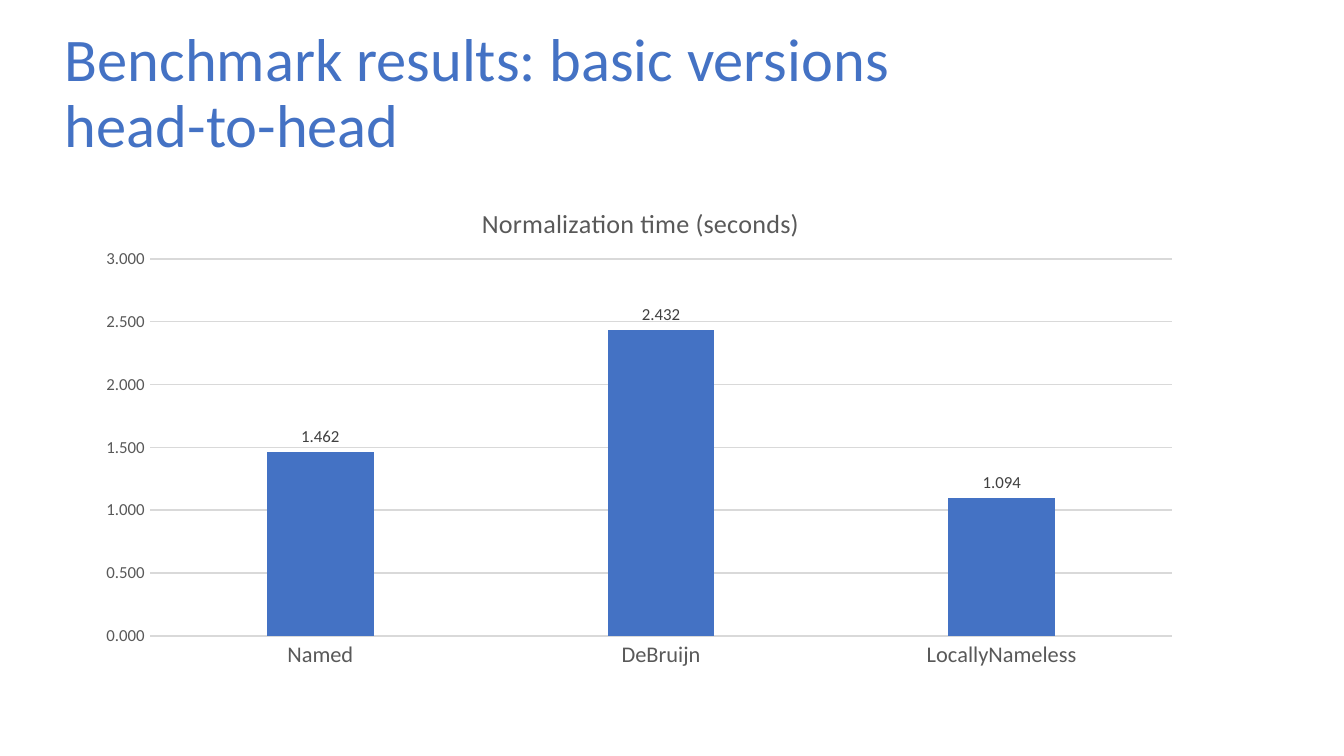
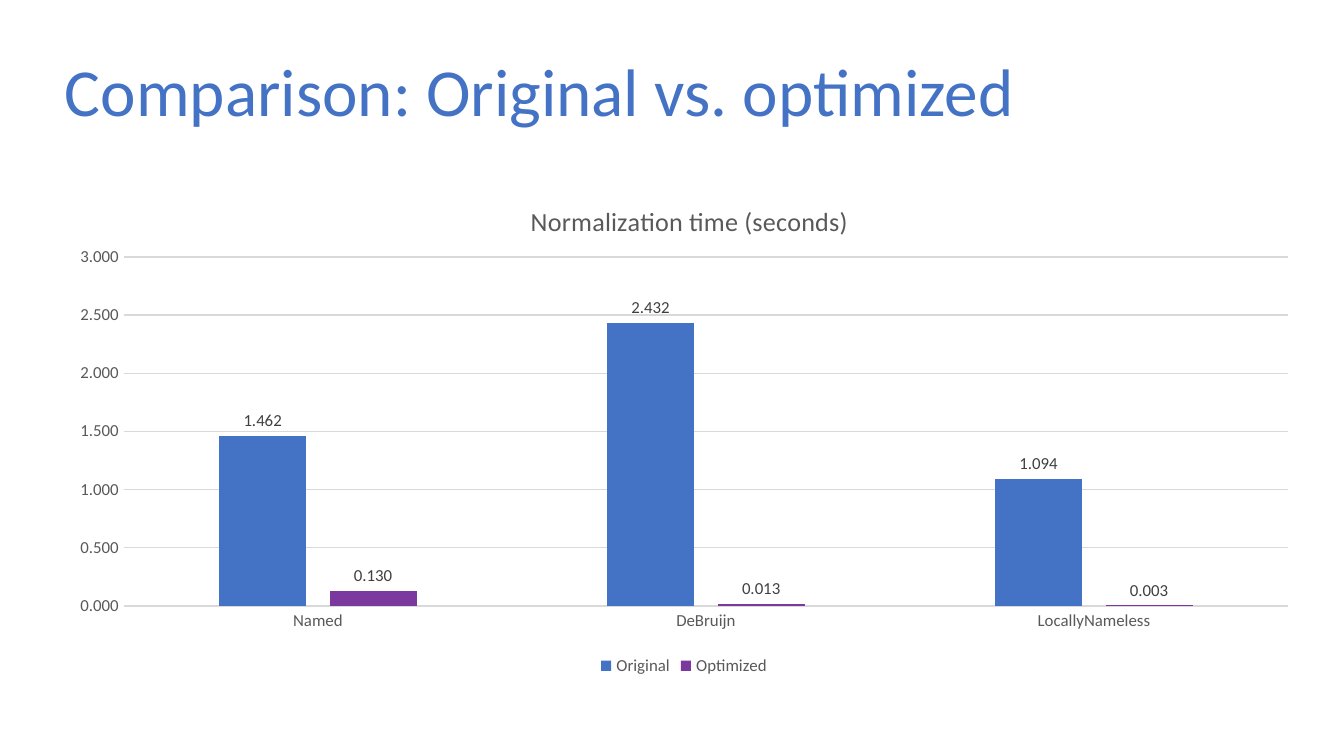
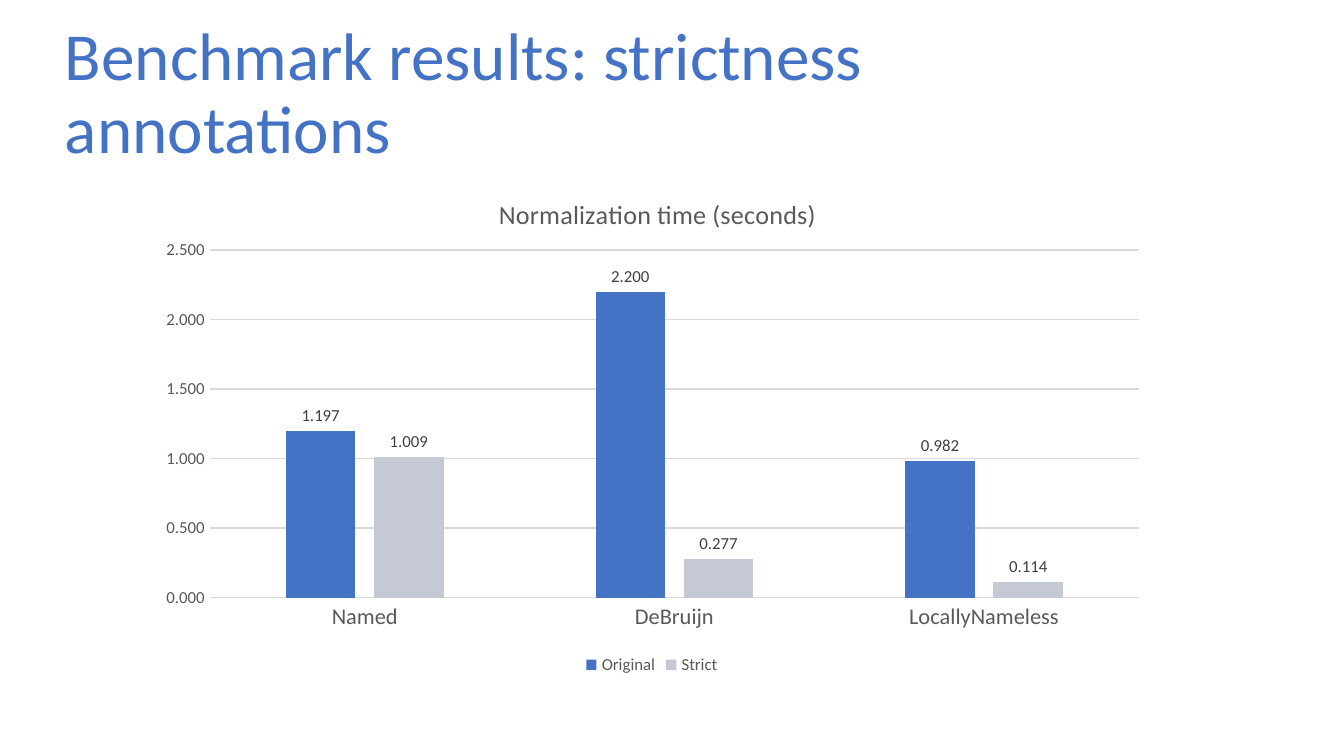
import copy
from lxml import etree
from pptx import Presentation
from pptx import util as u
from pptx.chart.data import CategoryChartData
from pptx.dml.color import RGBColor
from pptx.enum import chart as ch, text as tx
from pptx.oxml.ns import qn

PX = u.Inches(10) / 1344
FACE = "Calibri"
BLUE, PURPLE, SILVER = "4472C4", "7B389E", "C4C9D4"
GRID, GREY, DARK = "D9D9D9", "595959", "404040"
NAMES = ["Named", "DeBruijn", "LocallyNameless"]
BASE = (1.462, 2.432, 1.094)


def style(font, size, color):
    font.name, font.size, font.bold = FACE, u.Pt(size), False
    font.color.rgb = RGBColor.from_string(color)


def write(frame, words, size, color, **form):
    """Fill the first paragraph; a newline in words is a line break."""
    frame.text = ""
    para = frame.paragraphs[0]
    for name, value in form.items():
        setattr(para, name, value)
    for row, line in enumerate(words.split("\n")):
        if row:
            para.add_line_break()
        run = para.add_run()
        run.text = line
        style(run.font, size, color)
    for gap in para._p.findall(qn("a:br")):
        gap.insert(0, copy.deepcopy(run.font._element))


# Title, title size, chart box, plot box, title corner, axis top, category size, series
pages = [
    ("Benchmark results: basic versions \nhead-to-head", 32.4,
     (83, 176, 1110, 501), (150, 259, 1022, 377), (477, 201), 3, 12,
     [("Series 1", BASE, BLUE)]),
    ("Comparison: Original vs. optimized", 36,
     (55, 172, 1258, 509), (124, 257, 1164, 349), (526, 198), 3, 9,
     [("Original", BASE, BLUE), ("Optimized", (0.13, 0.013, 0.003), PURPLE)]),
    ("Benchmark results: strictness annotations", 36,
     (146, 167, 1012, 513), (210, 250, 929, 348), (494, 191), 2.5, 12,
     [("Original", (1.197, 2.2, 0.982), BLUE),
      ("Strict", (1.009, 0.277, 0.114), SILVER)]),
]

prs = Presentation()
prs.slide_width, prs.slide_height = u.Inches(10), round(756 * PX)

for head, size, box, plot, spot, top, label, rows in pages:
    slide = prs.slides.add_slide(prs.slide_layouts[5])
    title = slide.shapes.title
    title.left, title.top, title.width, title.height = [
        round(n * PX) for n in (55, 35, 1159, 120)]
    frame = title.text_frame
    frame.margin_left = frame.margin_right = round(10 * PX)
    frame.margin_top = frame.margin_bottom = round(5 * PX)
    frame.word_wrap = True
    frame.auto_size = tx.MSO_AUTO_SIZE.NONE
    frame.vertical_anchor = tx.MSO_ANCHOR.MIDDLE
    write(frame, head, size, BLUE, alignment=tx.PP_ALIGN.LEFT, line_spacing=0.9)

    data = CategoryChartData(number_format="0.000")
    data.categories = NAMES
    for name, values, _ in rows:
        data.add_series(name, values)
    chart = slide.shapes.add_chart(
        ch.XL_CHART_TYPE.COLUMN_CLUSTERED, *[round(n * PX) for n in box], data).chart
    style(chart.font, 10, "000000")
    chart.has_title = True
    write(chart.chart_title.text_frame, "Normalization time (seconds)", 14, GREY)
    chart.chart_title.include_in_layout = False

    chart.has_legend = len(rows) > 1
    if chart.has_legend:
        chart.legend.position = ch.XL_LEGEND_POSITION.BOTTOM
        chart.legend.include_in_layout = False
        style(chart.legend.font, 9, GREY)

    cat, val = chart.category_axis, chart.value_axis
    for axis, points in (cat, label), (val, 9):
        axis.major_tick_mark = axis.minor_tick_mark = ch.XL_TICK_MARK.NONE
        style(axis.tick_labels.font, points, GREY)
    val.minimum_scale, val.maximum_scale, val.major_unit = 0, top, 0.5
    val.tick_labels.number_format = "0.000"
    val.tick_labels.number_format_is_linked = False
    val.format.line.fill.background()
    val.has_major_gridlines = True
    for line in cat.format.line, val.major_gridlines.format.line:
        line.color.rgb = RGBColor.from_string(GRID)
        line.width = u.Pt(0.75)

    bars = chart.plots[0]
    bars.gap_width, bars.overlap, bars.vary_by_categories = 219, -27, False
    for item, (_, _, color) in zip(bars.series, rows):
        item.format.fill.solid()
        item.format.fill.fore_color.rgb = RGBColor.from_string(color)
        tags = item.data_labels
        tags.show_value = True
        tags.position = ch.XL_LABEL_POSITION.OUTSIDE_END
        tags.number_format, tags.number_format_is_linked = "0.000", False
        style(tags.font, 9, DARK)

    # Fix the plot area and the chart title as fractions of the chart box
    x, y, w, h = box
    area = chart._chartSpace.find(".//" + qn("c:plotArea"))
    for node, place, at in ((area, plot, 0), (chart.chart_title._element, spot, 1)):
        for old in node.findall(qn("c:layout")):
            node.remove(old)
        layout = etree.Element(qn("c:layout"))
        node.insert(at, layout)
        manual = etree.SubElement(layout, qn("c:manualLayout"))
        marks = [("xMode", "edge"), ("yMode", "edge")]
        if node is area:
            marks.insert(0, ("layoutTarget", "inner"))
        parts = [(place[0] - x) / w, (place[1] - y) / h]
        if node is area:
            parts += [place[2] / w, place[3] / h]
        marks += [(key, f"{part:.4f}") for key, part in zip("xywh", parts)]
        for key, value in marks:
            etree.SubElement(manual, qn("c:" + key)).set("val", value)

prs.save("out.pptx")
